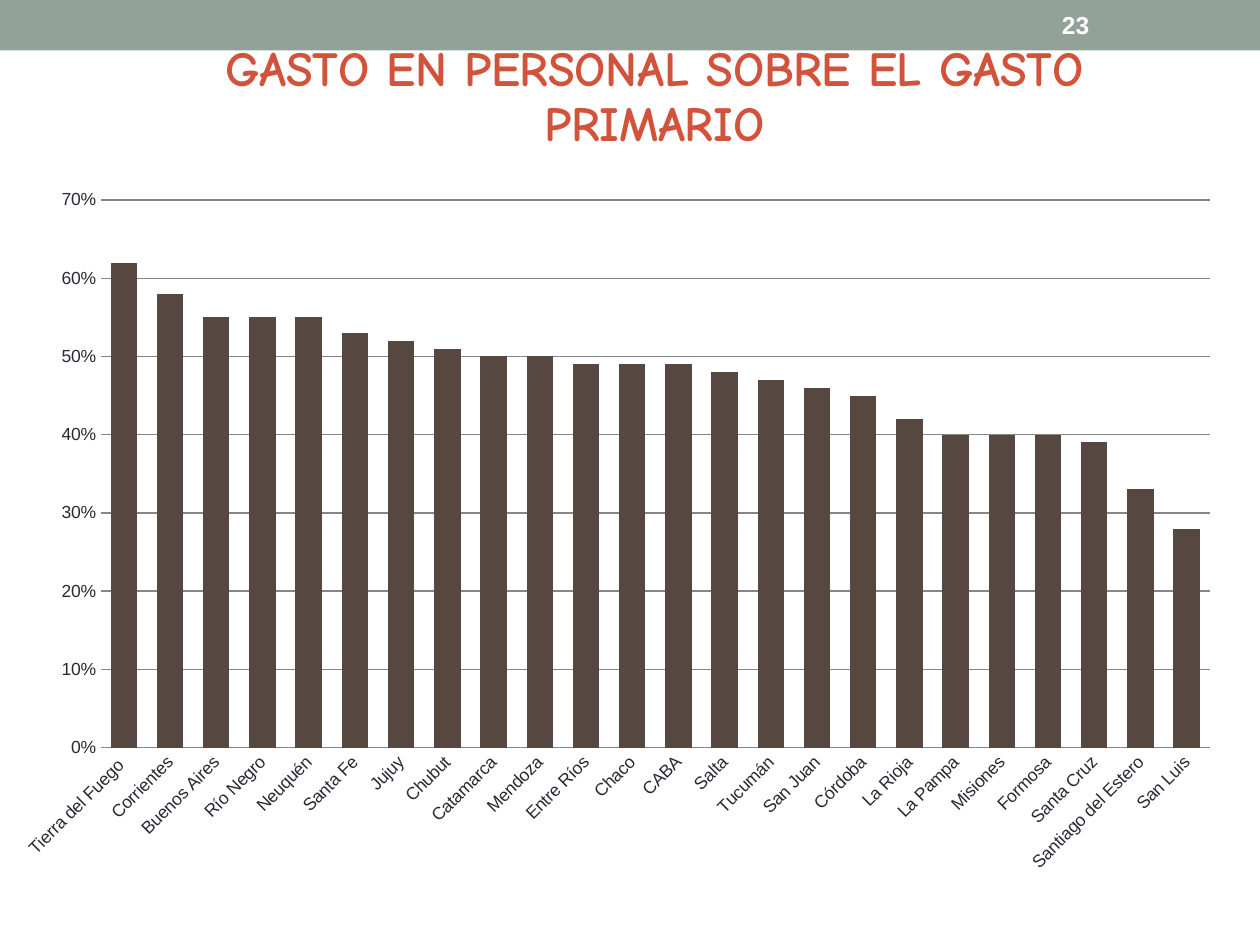
from lxml.etree import SubElement
from pptx import Presentation
from pptx.chart.data import CategoryChartData as ChartData
from pptx.dml.color import RGBColor as RGB
from pptx.enum.chart import XL_CHART_TYPE as ChartType, XL_TICK_MARK as TickMark
from pptx.enum.shapes import MSO_SHAPE as Preset
from pptx.enum.text import MSO_ANCHOR as Anchor
from pptx.oxml.ns import qn
from pptx.util import Pt

TITLE = "GASTO EN PERSONAL SOBRE EL GASTO PRIMARIO"
PAGE = "23"
SHARES = [
    ("Tierra del Fuego ", 0.62), ("Corrientes", 0.58), ("Buenos Aires", 0.55),
    ("Río Negro", 0.55), ("Neuquén", 0.55), ("Santa Fe", 0.53),
    ("Jujuy", 0.52), ("Chubut", 0.51), ("Catamarca", 0.50),
    ("Mendoza", 0.50), ("Entre Ríos", 0.49), ("Chaco", 0.49),
    ("CABA", 0.49), ("Salta", 0.48), ("Tucumán", 0.47),
    ("San Juan", 0.46), ("Córdoba", 0.45), ("La Rioja", 0.42),
    ("La Pampa", 0.40), ("Misiones", 0.40), ("Formosa", 0.40),
    ("Santa Cruz", 0.39), ("Santiago del Estero", 0.33), ("San Luis", 0.28),
]
COLORS = {"band": "93A299", "bar": "564841", "title": "D2533C",
          "text": "292934", "grid": "868686", "page": "FFFFFF"}
FONTS = {
    "title": {"name": "Comic Neue", "size": Pt(28), "bold": True},
    "text": {"name": "Arial", "size": Pt(10), "bold": False},
    "page": {"name": "Arial", "size": Pt(14), "bold": True},
}
BOXES = {"band": (0, 0, 720, 28.8), "chart": (0, 15.12, 705.6, 493.2),
         "page": (599.76, 1.44, 84.24, 25.92)}
EDGES = {"xMode": "edge", "yMode": "edge"}
PLOT_MODES = {"layoutTarget": "inner", **EDGES}
PLOT_AT = {"x": 57.6, "y": 99.2, "w": 633.8, "h": 313}
TITLE_AT = {"x": 123.6, "y": 1.2}
VALUE_AXIS = {"minimum_scale": 0, "maximum_scale": 0.7, "major_unit": 0.1,
              "has_major_gridlines": True}


def box(part):
    return [Pt(length) for length in BOXES[part]]


def color(part):
    return RGB.from_string(COLORS[part])


def style(font, part):
    for key, value in FONTS[part].items():
        setattr(font, key, value)
    font.color.rgb = color(part)


def place(parent, position, modes, at):
    for old in parent.findall(qn("c:layout")):
        parent.remove(old)
    layout = SubElement(parent, qn("c:layout"))
    parent.insert(position, layout)
    manual = SubElement(layout, qn("c:manualLayout"))
    width, height = BOXES["chart"][2:]
    whole = {"x": width, "w": width, "y": height, "h": height}
    fractions = {key: length / whole[key] for key, length in at.items()}
    for key, value in {**modes, **fractions}.items():
        SubElement(manual, qn(f"c:{key}")).set("val", str(value))


def add_band(slide):
    band = slide.shapes.add_shape(Preset.RECTANGLE, *box("band"))
    band.shadow.inherit = False
    band.fill.solid()
    band.fill.fore_color.rgb = color("band")
    band.line.fill.background()


def add_shares(slide):
    data = ChartData(number_format="0%")
    data.categories = [province for province, share in SHARES]
    data.add_series("Series 1", [share for province, share in SHARES])
    chart = slide.shapes.add_chart(
        ChartType.COLUMN_CLUSTERED, *box("chart"), data).chart
    chart.has_legend = False
    style(chart.font, "text")

    heading = chart.chart_title
    heading.text_frame.text = TITLE
    style(heading.text_frame.paragraphs[0].runs[0].font, "title")
    heading.include_in_layout = False
    place(heading._element, 1, EDGES, TITLE_AT)
    place(chart._chartSpace.chart.plotArea, 0, PLOT_MODES, PLOT_AT)

    bars = chart.plots[0]
    bars.gap_width = 75
    bars.vary_by_categories = False
    bars.series[0].format.fill.solid()
    bars.series[0].format.fill.fore_color.rgb = color("bar")

    provinces, percent = chart.category_axis, chart.value_axis
    for axis in (provinces, percent):
        axis.major_tick_mark = axis.minor_tick_mark = TickMark.NONE
        style(axis.tick_labels.font, "text")
    for key, value in VALUE_AXIS.items():
        setattr(percent, key, value)
    percent.tick_labels.number_format = "0%"
    percent.tick_labels.number_format_is_linked = False
    percent.format.line.fill.background()
    for line in (percent.major_gridlines.format.line, provinces.format.line):
        line.color.rgb = color("grid")
        line.width = Pt(0.75)
    provinces._element.txPr.find(qn("a:bodyPr")).set("rot", "-2700000")


def add_page(slide):
    frame = slide.shapes.add_textbox(*box("page")).text_frame
    frame.word_wrap = True
    frame.vertical_anchor = Anchor.MIDDLE
    frame.text = PAGE
    style(frame.paragraphs[0].runs[0].font, "page")


def main():
    deck = Presentation()
    deck.slide_width, deck.slide_height = Pt(720), Pt(540)
    slide = deck.slides.add_slide(deck.slide_layouts[6])
    add_band(slide)
    add_shares(slide)
    add_page(slide)
    deck.save("out.pptx")


if __name__ == "__main__":
    main()
